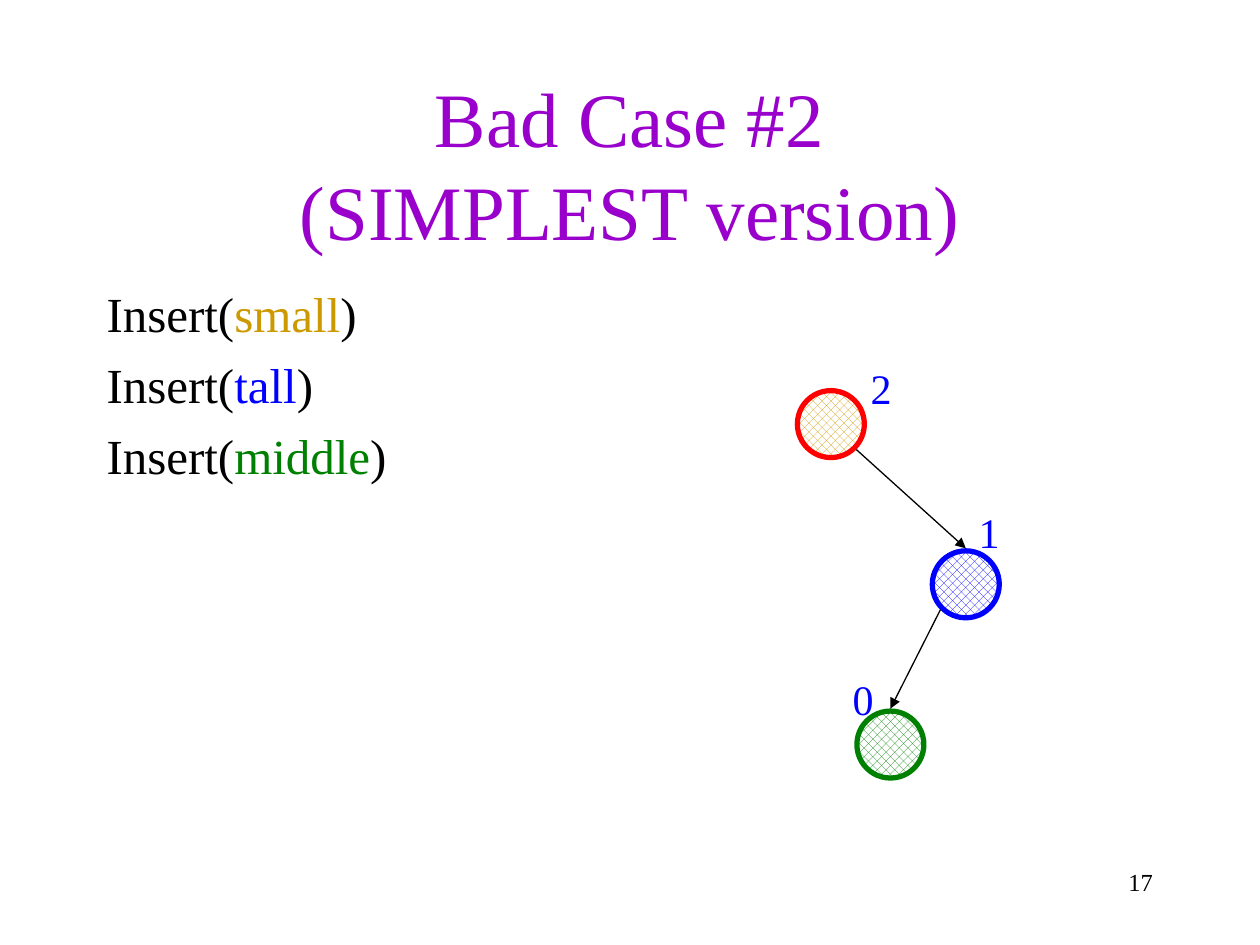
import math

from lxml import etree
from pptx import Presentation
from pptx import util as u
from pptx.dml.color import RGBColor
from pptx.enum import dml, shapes, text
from pptx.oxml.ns import qn

COLORS = {
    "black": "000000", "white": "FFFFFF", "purple": "9900CC",
    "gold": "CC9900", "blue": "0000FF", "green": "008000", "red": "FF0000",
}
FONT = "Times New Roman"

# Content; lengths are in centimetres
title = "Bad Case #2\v(SIMPLEST version)"
inserts = [("small", "gold"), ("tall", "blue"), ("middle", "green")]
page_number = "17"

# Node: centre x, fill, outline, height label, label's left and top
nodes = [
    (16.75, "gold", "red", "2", (17.3, 7.19)),
    (19.47, "blue", "blue", "1", (19.48, 10.08)),
    (17.95, "green", "green", "0", (16.94, 13.46)),
]
DIAMETER = 1.35
ROOT_Y = 8.55
LEVEL_GAP = 3.23
EDGE_RADIUS = DIAMETER / 2 + 0.05  # edges stop at the outside of the outline


def rgb(name):
    return RGBColor.from_string(COLORS[name])


def style(run, size, color):
    run.font.name = FONT
    run.font.size = u.Pt(size)
    run.font.color.rgb = rgb(color)


def add_text(slide, box, content, size, color, align=text.PP_ALIGN.LEFT, wrap=True):
    frame = slide.shapes.add_textbox(*map(u.Cm, box)).text_frame
    frame.word_wrap = wrap
    frame.text = content
    paragraph = frame.paragraphs[0]
    paragraph.alignment = align
    for run in paragraph.runs:
        style(run, size, color)
    return frame


def add_inserts(slide):
    frame = slide.shapes.add_textbox(*map(u.Cm, (1.9, 5.6, 21.59, 11.43))).text_frame
    frame.word_wrap = True
    for index, (word, color) in enumerate(inserts):
        line = frame.add_paragraph() if index else frame.paragraphs[0]
        if index:
            line.space_before = u.Pt(6.8)
        for part, part_color in (("Insert(", "black"), (word, color), (")", "black")):
            run = line.add_run()
            run.text = part
            style(run, 28, part_color)


def add_node(slide, x, y, fill, outline):
    corner = (x - DIAMETER / 2, y - DIAMETER / 2)
    node = slide.shapes.add_shape(
        shapes.MSO_SHAPE.OVAL, *map(u.Cm, (*corner, DIAMETER, DIAMETER)))
    node.shadow.inherit = False
    node.fill.patterned()
    node.fill.pattern = dml.MSO_PATTERN.PERCENT_50
    node.fill.fore_color.rgb = rgb(fill)
    node.fill.back_color.rgb = rgb("white")
    node.line.color.rgb = rgb(outline)
    node.line.width = u.Pt(3)


def add_edge(slide, parent, child):
    # From the parent's lower diagonal to the top of the child
    reach = EDGE_RADIUS * math.sqrt(0.5)
    side = math.copysign(reach, child[0] - parent[0])
    ends = (parent[0] + side, parent[1] + reach, child[0], child[1] - EDGE_RADIUS)
    edge = slide.shapes.add_connector(
        shapes.MSO_CONNECTOR.STRAIGHT, *map(u.Cm, ends))
    edge.line.color.rgb = rgb("black")
    edge.line.width = u.Pt(0.75)
    etree.SubElement(edge.line._get_or_add_ln(), qn("a:tailEnd"), type="triangle")
    etree.SubElement(edge._element.spPr, qn("a:effectLst"))


def main():
    deck = Presentation()
    deck.slide_width, deck.slide_height = u.Cm(25.4), u.Cm(19.05)
    slide = deck.slides.add_slide(deck.slide_layouts[6])

    # Title and operations
    heading = add_text(slide, (1.9, 1.7, 21.59, 3.18), title, 44, "purple",
                       text.PP_ALIGN.CENTER)
    heading.vertical_anchor = text.MSO_ANCHOR.MIDDLE
    add_inserts(slide)

    # Tree: nodes, edges, height labels
    centres = [(node[0], ROOT_Y + level * LEVEL_GAP) for level, node in enumerate(nodes)]
    for (x, y), (_, fill, outline, _, _) in zip(centres, nodes):
        add_node(slide, x, y, fill, outline)
    for parent, child in zip(centres, centres[1:]):
        add_edge(slide, parent, child)
    for *_, height, corner in nodes:
        add_text(slide, (*corner, 0.94, 1.27), height, 24, "blue", wrap=False)

    # Page number
    add_text(slide, (18.2, 17.35, 5.29, 1.27), page_number, 14, "black",
             text.PP_ALIGN.RIGHT)

    deck.save("out.pptx")


if __name__ == "__main__":
    main()
